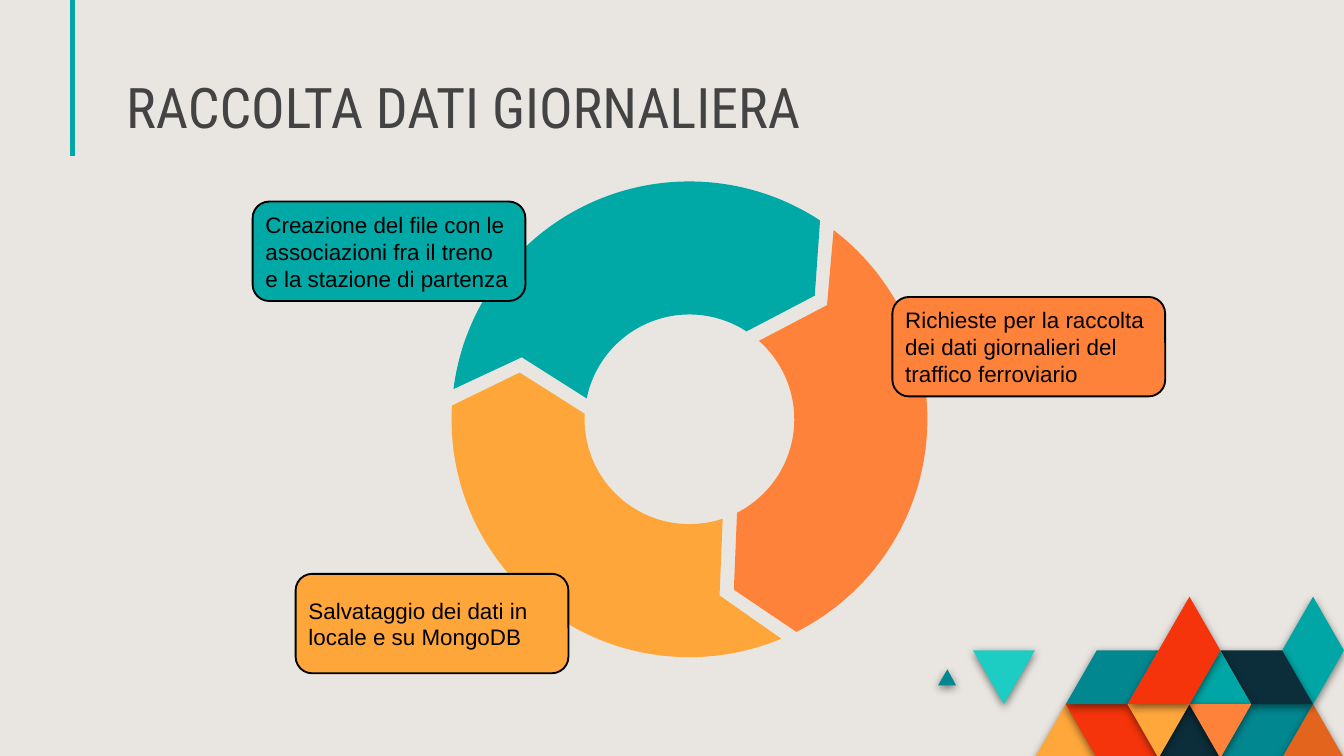
from dataclasses import dataclass
from math import cos, radians, sin, tan

from lxml import etree
from pptx import Presentation, util as u
from pptx.dml import color
from pptx.enum import shapes, text
from pptx.oxml import ns

BACKGROUND = color.RGBColor(0xE9, 0xE6, 0xE1)
TITLE_GREY = color.RGBColor(0x43, 0x43, 0x43)
BLACK = color.RGBColor(0, 0, 0)
TEAL = color.RGBColor(0x00, 0xA6, 0xA6)
DARK_TEAL = color.RGBColor(0x01, 0x87, 0x90)
AQUA = color.RGBColor(0x1D, 0xCD, 0xC3)
NAVY = color.RGBColor(0x0C, 0x2E, 0x3A)
RED = color.RGBColor(0xF5, 0x34, 0x0B)
RUST = color.RGBColor(0xE3, 0x65, 0x1D)
ORANGE = color.RGBColor(0xFF, 0x82, 0x3B)
AMBER = color.RGBColor(0xFF, 0xA7, 0x3B)
RING_TEAL = color.RGBColor(0x00, 0xA8, 0xA6)
RING_ORANGE = color.RGBColor(0xFF, 0x82, 0x3A)
RING_AMBER = color.RGBColor(0xFF, 0xA6, 0x3B)

GRID_LEFT, GRID_TOP, GRID_DX, GRID_DY = 7.7, 4.44, 0.23, 0.4
CENTER_X, CENTER_Y, OUTER, INNER = 5.13, 3.12, 1.77, 0.78

Point = tuple[float, float]


@dataclass(frozen=True)
class Node:
    position: Point
    handles: tuple[Point, ...] = ()


@dataclass(frozen=True)
class Tile:
    fill: color.RGBColor
    corners: tuple[Point, ...]


@dataclass(frozen=True)
class Step:
    left: float
    top: float
    turn: float
    fill: color.RGBColor
    label: str


TILES = (
    Tile(AMBER, ((0, 3), (1, 2), (2, 3))),
    Tile(RED, ((1, 2), (3, 2), (4, 3), (2, 3))),
    Tile(DARK_TEAL, ((6, 3), (7, 2), (9, 2), (8, 3))),
    Tile(RUST, ((8, 3), (9, 2), (10, 3))),
    Tile(NAVY, ((4, 3), (5, 2), (6, 3))),
    Tile(DARK_TEAL, ((1, 2), (2, 1), (4, 1), (3, 2))),
    Tile(DARK_TEAL, ((-3.13, 1.65), (-2.83, 1.35), (-2.55, 1.65))),
    Tile(AQUA, ((-2, 1), (0, 1), (-1, 2))),
    Tile(TEAL, ((8, 1), (9, 0), (10, 1), (9, 2))),
    Tile(NAVY, ((6, 1), (8, 1), (9, 2), (7, 2))),
    Tile(TEAL, ((5, 2), (6, 1), (7, 2))),
    Tile(ORANGE, ((5, 2), (7, 2), (6, 3))),
    Tile(AMBER, ((3, 2), (5, 2), (4, 3))),
    Tile(RED, ((3, 2), (5, 0), (6, 1), (5, 2))),
)
STEPS = (
    Step(1.88, 1.5, 0, RING_TEAL,
         "Creazione del file con le associazioni fra il treno e la stazione di partenza"),
    Step(6.64, 2.21, 120, RING_ORANGE,
         "Richieste per la raccolta dei dati giornalieri del traffico ferroviario"),
    Step(2.2, 4.27, 240, RING_AMBER,
         "Salvataggio dei dati in locale e su MongoDB"),
)


def polar(radius: float, angle: float, along: float = 0) -> Point:
    """Return a point around the ring centre, moved along the tangent."""
    c, s = cos(radians(angle)), sin(radians(angle))
    return CENTER_X + radius * c - along * s, CENTER_Y + radius * s + along * c


def arc(radius: float, start: float, end: float) -> list[Node]:
    """Return the curve nodes of an arc, split at the quarter turns."""
    low, high = sorted((start, end))
    quarters = [angle for angle in range(0, 720, 90) if low < angle < high]
    angles = sorted([start, *quarters, end], reverse=start > end)
    nodes = [Node(polar(radius, start))]
    for first, last in zip(angles, angles[1:]):
        reach = radius * 4 / 3 * tan(radians(last - first) / 4)
        handles = polar(radius, first, reach), polar(radius, last, -reach)
        nodes.append(Node(polar(radius, last), handles))
    return nodes


def draw_outline(slide, nodes: list[Node], fill: color.RGBColor):
    """Draw a closed, filled outline of lines and curves without a border."""
    corners = [tuple(map(u.Inches, node.position)) for node in nodes]
    builder = slide.shapes.build_freeform(*corners[0], scale=1.0)
    builder.add_line_segments(corners[1:], close=True)
    shape = builder.convert_to_shape()
    segments = list(shape.element.iter(ns.qn("a:lnTo")))
    for node, segment in zip(nodes[1:], segments):
        if node.handles:
            curve = etree.Element(ns.qn("a:cubicBezTo"))
            segment.getparent().replace(segment, curve)
            for x, y in (*node.handles, node.position):
                etree.SubElement(curve, ns.qn("a:pt"), x=str(u.Inches(x) - shape.left),
                                 y=str(u.Inches(y) - shape.top))
    shape.fill.solid()
    shape.fill.fore_color.rgb = fill
    shape.line.fill.background()
    shape.shadow.inherit = False
    return shape


def draw_tile(slide, tile: Tile) -> None:
    """Draw one mosaic tile on the triangular grid with a soft shadow."""
    nodes = [Node((GRID_LEFT + GRID_DX * x, GRID_TOP + GRID_DY * y)) for x, y in tile.corners]
    shape = draw_outline(slide, nodes, tile.fill)
    effects = shape.element.spPr.find(ns.qn("a:effectLst"))
    shadow = etree.SubElement(
        effects, ns.qn("a:outerShdw"), blurRad=str(u.Pt(4.5)), dist=str(u.Pt(1.5)),
        dir="5400000", algn="bl", rotWithShape="0")
    shade = etree.SubElement(shadow, ns.qn("a:srgbClr"), val=str(BLACK))
    etree.SubElement(shade, ns.qn("a:alpha"), val="50000")


def draw_ring_arrow(slide, step: Step) -> None:
    """Draw one third of the ring with its notch and its arrow tip."""
    turn = step.turn
    nodes = [
        *arc(OUTER, 187.3 + turn, 303.3 + turn),
        Node(polar(1.31, 315.4 + turn)),
        *arc(INNER, 303 + turn, 191.5 + turn),
        Node(polar(1.33, 200.3 + turn)),
    ]
    draw_outline(slide, nodes, step.fill)


def write_text(shape, words: str, frame_format: dict, font_format: dict,
               ink: color.RGBColor) -> None:
    """Write one left-aligned paragraph with the given formats."""
    frame = shape.text_frame
    for name, value in frame_format.items():
        setattr(frame, name, value)
    paragraph = frame.paragraphs[0]
    paragraph.alignment = text.PP_ALIGN.LEFT
    run = paragraph.add_run()
    run.text = words
    for name, value in font_format.items():
        setattr(run.font, name, value)
    run.font.color.rgb = ink


def draw_label(slide, step: Step) -> None:
    """Draw the rounded label of a step."""
    shape = slide.shapes.add_shape(
        shapes.MSO_SHAPE.ROUNDED_RECTANGLE, u.Inches(step.left), u.Inches(step.top),
        u.Inches(2.03), u.Inches(0.74))
    shape.shadow.inherit = False
    shape.fill.solid()
    shape.fill.fore_color.rgb = step.fill
    shape.line.color.rgb = BLACK
    shape.line.width = u.Pt(1)
    frame_format = {
        "word_wrap": True, "vertical_anchor": text.MSO_ANCHOR.MIDDLE,
        "margin_left": u.Inches(0.06), "margin_right": u.Inches(0.08),
        "margin_top": 0, "margin_bottom": 0,
    }
    write_text(shape, step.label, frame_format, {"name": "Arial", "size": u.Pt(12)}, BLACK)


def draw_title(slide) -> None:
    """Draw the accent line and the title."""
    line = slide.shapes.add_connector(
        shapes.MSO_CONNECTOR.STRAIGHT, u.Inches(0.54), 0, u.Inches(0.54), u.Inches(1.16))
    line.line.color.rgb = TEAL
    line.line.width = u.Pt(2.25)
    etree.SubElement(line.element.spPr, ns.qn("a:effectLst"))
    box = slide.shapes.add_textbox(
        u.Inches(0.84), u.Inches(0.51), u.Inches(8.85), u.Inches(0.63))
    margins = {f"margin_{side}": u.Inches(0.1) for side in ("left", "top", "right", "bottom")}
    write_text(box, "RACCOLTA DATI GIORNALIERA",
               {"word_wrap": True, "vertical_anchor": text.MSO_ANCHOR.BOTTOM, **margins},
               {"name": "Roboto Condensed", "size": u.Pt(30)}, TITLE_GREY)


def main() -> None:
    """Build and save the slide."""
    presentation = Presentation()
    presentation.slide_width = u.Inches(10)
    presentation.slide_height = u.Inches(5.625)
    slide = presentation.slides.add_slide(presentation.slide_layouts[6])
    slide.background.fill.solid()
    slide.background.fill.fore_color.rgb = BACKGROUND
    for tile in TILES:
        draw_tile(slide, tile)
    draw_title(slide)
    for draw in (draw_ring_arrow, draw_label):
        for step in STEPS:
            draw(slide, step)
    presentation.save("out.pptx")


if __name__ == "__main__":
    main()
